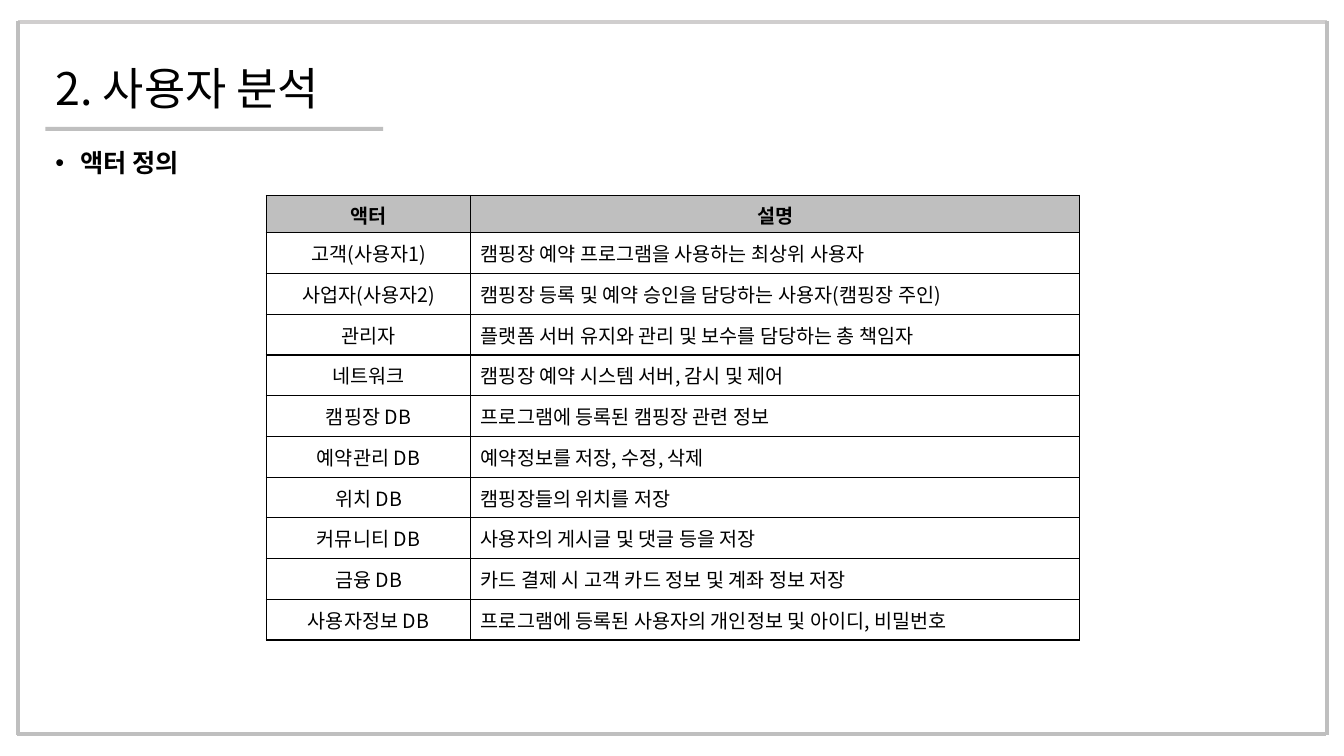
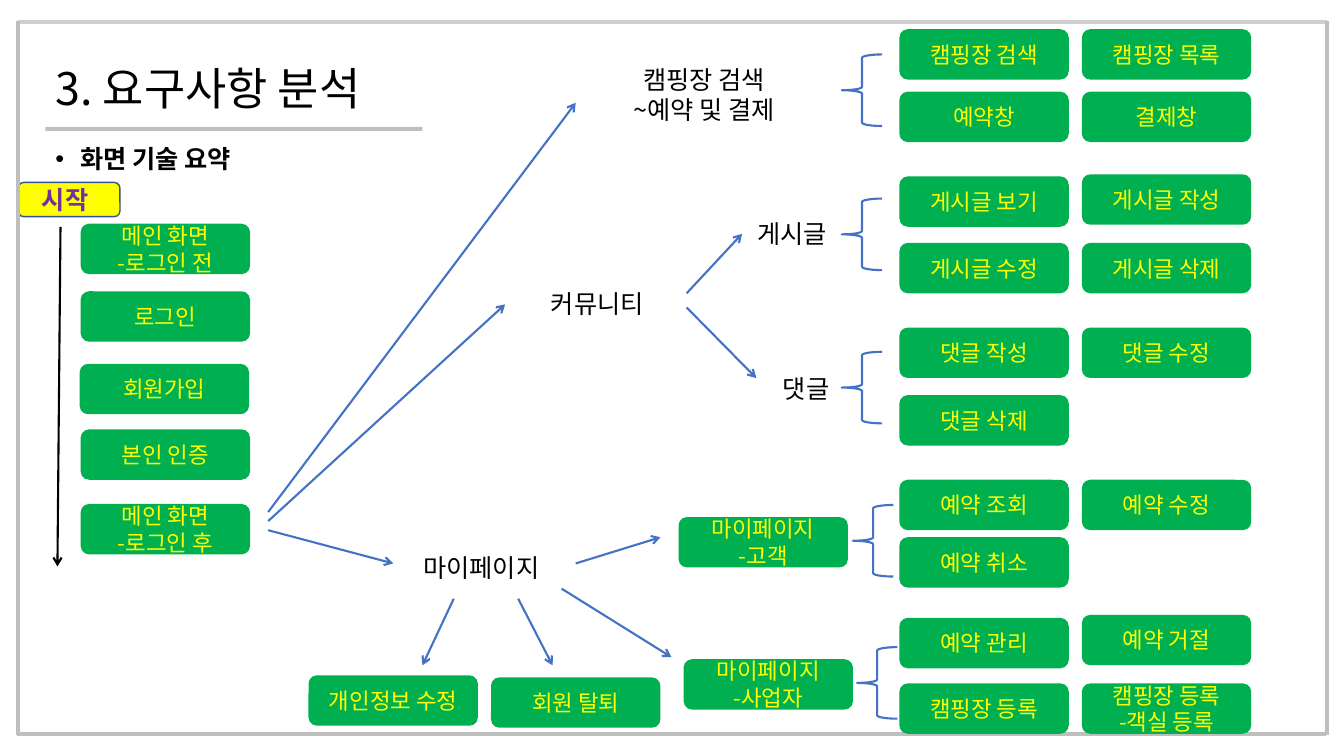
from lxml.etree import SubElement
from pptx import Presentation
from pptx.dml.color import RGBColor
from pptx.enum.shapes import MSO_CONNECTOR, MSO_SHAPE
from pptx.enum.text import MSO_ANCHOR, MSO_AUTO_SIZE, PP_ALIGN
from pptx.oxml.ns import qn
from pptx.util import Inches, Pt

FONT = "Noto Sans CJK KR"
COLORS = {
    "black": "000000",
    "grey": "BFBFBF",
    "light_grey": "D0CECE",
    "green": "00B050",
    "yellow": "FFFF00",
    "purple": "7030A0",
    "blue": "4472C4",
    "dark_blue": "325491",
}
FRAME_LINES = [
    (0.18, 0.22, 13.16, 0.22, "light_grey"),
    (0.18, 0.21, 0.18, 7.29, "grey"),
    (13.16, 0.21, 13.16, 7.29, "grey"),
    (0.17, 7.28, 13.15, 7.28, "grey"),
]
ACTORS = [
    ("액터", "설명"),
    ("고객(사용자1)", "캠핑장 예약 프로그램을 사용하는 최상위 사용자"),
    ("사업자(사용자2)", "캠핑장 등록 및 예약 승인을 담당하는 사용자(캠핑장 주인)"),
    ("관리자", "플랫폼 서버 유지와 관리 및 보수를 담당하는 총 책임자"),
    ("네트워크", "캠핑장 예약 시스템 서버, 감시 및 제어"),
    ("캠핑장 DB", "프로그램에 등록된 캠핑장 관련 정보"),
    ("예약관리 DB", "예약정보를 저장, 수정, 삭제"),
    ("위치 DB", "캠핑장들의 위치를 저장"),
    ("커뮤니티 DB", "사용자의 게시글 및 댓글 등을 저장"),
    ("금융 DB", "카드 결제 시 고객 카드 정보 및 계좌 정보 저장"),
    ("사용자정보 DB", "프로그램에 등록된 사용자의 개인정보 및 아이디, 비밀번호"),
]
SCREEN_COLUMNS = (8.92, 10.73)
SCREEN_ROWS = [
    ((0.29, "캠핑장 검색"), (0.29, "캠핑장 목록")),
    ((0.91, "예약창"), (0.91, "결제창")),
    ((1.75, "게시글 보기"), (1.73, "게시글 작성")),
    ((2.41, "게시글 수정"), (2.41, "게시글 삭제")),
    ((3.25, "댓글 작성"), (3.25, "댓글 수정")),
    ((3.92, "댓글 삭제"),),
    ((4.76, "예약 조회"), (4.76, "예약 수정")),
    ((5.33, "예약 취소"),),
    ((6.13, "예약 관리"), (6.1, "예약 거절")),
    ((6.78, "캠핑장 등록"), (6.78, "캠핑장 등록\n-객실 등록")),
]
OTHER_SCREENS = [
    (0.8, 2.22, "메인 화면\n-로그인 전"),
    (0.8, 2.89, "로그인"),
    (0.79, 3.61, "회원가입"),
    (0.8, 4.26, "본인 인증"),
    (0.8, 5, "메인 화면\n-로그인 후"),
    (3.06, 6.7, "개인정보 수정"),
    (4.87, 6.72, "회원 탈퇴"),
    (6.73, 5.13, "마이페이지\n-고객"),
    (6.78, 6.54, "마이페이지\n-사업자"),
]
BRANCH_LABELS = [
    (5.92, 0.59, "캠핑장 검색\n~예약 및 결제"),
    (6.79, 2.12, "게시글"),
    (4.86, 2.81, "커뮤니티"),
    (6.93, 3.65, "댓글"),
    (3.71, 5.43, "마이페이지"),
]
BRANCH_ARROWS = [
    (2.66, 5.08, 5.71, 1.02),
    (2.66, 5.17, 5.01, 3.02),
    (2.66, 5.26, 3.9, 5.59),
    (6.81, 2.91, 7.36, 2.32),
    (6.81, 3.05, 7.5, 3.75),
    (4.5, 5.94, 4.19, 6.6),
    (5.14, 5.94, 5.48, 6.6),
    (5.71, 5.59, 6.55, 5.33),
    (5.57, 5.84, 6.66, 6.52),
]
BRACES = [(8.35, 0.54), (8.35, 1.97), (8.35, 3.49), (8.46, 5.01), (8.5, 6.42)]


def color(name):
    """Return the palette colour with this name."""
    return RGBColor.from_string(COLORS[name])


def write_text(text_frame, text, size, color_name="black", bold=False, align=PP_ALIGN.LEFT):
    """Fill a text frame and format all its runs."""
    text_frame.text = text
    for paragraph in text_frame.paragraphs:
        paragraph.alignment = align
        for run in paragraph.runs:
            run.font.name = FONT
            run.font.size = Pt(size)
            run.font.bold = bold
            run.font.color.rgb = color(color_name)
            SubElement(run.font._element, qn("a:ea"), typeface=FONT)


def add_line(slide, start_x, start_y, end_x, end_y, color_name, width, arrow=False):
    """Draw a straight line, with an arrowhead at its end if asked."""
    line = slide.shapes.add_connector(
        MSO_CONNECTOR.STRAIGHT, Inches(start_x), Inches(start_y), Inches(end_x), Inches(end_y)
    )
    line.line.color.rgb = color(color_name)
    line.line.width = Pt(width)
    if arrow:
        SubElement(line.line._get_or_add_ln(), qn("a:tailEnd"), type="arrow")
    SubElement(line._element.spPr, qn("a:effectLst"))


def add_box(slide, kind, left, top, width, height, fill=None, outline=None, line_width=1):
    """Add a preset shape with an optional fill and outline."""
    shape = slide.shapes.add_shape(kind, Inches(left), Inches(top), Inches(width), Inches(height))
    shape.shadow.inherit = False
    if fill:
        shape.fill.solid()
        shape.fill.fore_color.rgb = color(fill)
    else:
        shape.fill.background()
    if outline:
        shape.line.color.rgb = color(outline)
        shape.line.width = Pt(line_width)
    else:
        shape.line.fill.background()
    return shape


def add_label(slide, left, top, width, height, text, **style):
    """Add a wrapping text box in the 18 point label size."""
    label = slide.shapes.add_textbox(Inches(left), Inches(top), Inches(width), Inches(height))
    label.text_frame.word_wrap = True
    write_text(label.text_frame, text, 18, **style)
    return label


def add_subheading(slide, top, text):
    """Add the bold bulleted line under the title."""
    label = add_label(slide, 0.45, top, 3.15, 0.39, text, bold=True)
    paragraph = label.text_frame.paragraphs[0]
    paragraph.line_spacing = 0.9
    properties = paragraph._p.get_or_add_pPr()
    properties.set("marL", str(Inches(0.25)))
    properties.set("indent", str(Inches(-0.25)))
    SubElement(properties, qn("a:buFont"), typeface="Arial")
    SubElement(properties, qn("a:buChar"), char="•")


def add_heading(slide, text, rule_width):
    """Draw the page frame, the title and the rule below it."""
    for *ends, color_name in FRAME_LINES:
        add_line(slide, *ends, color_name, 3)
    title = slide.shapes.title
    title.left, title.top = Inches(0.45), Inches(0.49)
    title.width, title.height = Inches(12.44), Inches(0.83)
    title.text_frame.auto_size = MSO_AUTO_SIZE.NONE
    title.text_frame.vertical_anchor = MSO_ANCHOR.MIDDLE
    write_text(title.text_frame, text, 32)
    title.text_frame.paragraphs[0].line_spacing = 0.9
    add_box(slide, MSO_SHAPE.RECTANGLE, 0.45, 1.26, rule_width, 0.04, "grey")


def add_screen(slide, left, top, text):
    """Add a green box that names one screen."""
    shape = add_box(slide, MSO_SHAPE.ROUNDED_RECTANGLE, left, top, 1.68, 0.5, "green")
    shape.text_frame.vertical_anchor = MSO_ANCHOR.MIDDLE
    write_text(shape.text_frame, text, 16, "yellow", align=PP_ALIGN.CENTER)


def add_start(slide):
    """Add the yellow start tag."""
    shape = add_box(
        slide, MSO_SHAPE.ROUNDED_RECTANGLE, 0.18, 1.81, 1.01, 0.34, "yellow", "dark_blue"
    )
    text_frame = shape.text_frame
    text_frame.margin_left = Inches(0.22)
    text_frame.margin_top = text_frame.margin_bottom = 0
    text_frame.vertical_anchor = MSO_ANCHOR.MIDDLE
    write_text(text_frame, "시작", 18, "purple", bold=True)


def add_cell_borders(cell):
    """Give a table cell black lines on all four sides."""
    properties = cell._tc.get_or_add_tcPr()
    for side in ("lnL", "lnR", "lnT", "lnB"):
        border = SubElement(properties, qn(f"a:{side}"), w=str(Pt(1)))
        fill = SubElement(border, qn("a:solidFill"))
        SubElement(fill, qn("a:srgbClr"), val=COLORS["black"])


def add_actor_table(slide):
    """Add the table of actors and their descriptions."""
    frame = slide.shapes.add_table(
        len(ACTORS), 2, Inches(2.64), Inches(1.94), Inches(8.07), Inches(4.41)
    )
    table = frame.table
    table.first_row = table.horz_banding = False
    for column, width in zip(table.columns, (2.03, 6.04)):
        column.width = Inches(width)
    for row_index, texts in enumerate(ACTORS):
        is_header = row_index == 0
        table.rows[row_index].height = Inches(0.37 if is_header else 0.404)
        for column_index, text in enumerate(texts):
            cell = table.cell(row_index, column_index)
            centred = is_header or column_index == 0
            align = PP_ALIGN.CENTER if centred else PP_ALIGN.LEFT
            write_text(cell.text_frame, text, 14, bold=is_header, align=align)
            cell.vertical_anchor = MSO_ANCHOR.MIDDLE
            add_cell_borders(cell)
            if is_header:
                cell.fill.solid()
                cell.fill.fore_color.rgb = color("grey")
            else:
                cell.fill.background()


def build_actor_slide(slide):
    """Build the user analysis slide."""
    add_heading(slide, "2. 사용자 분석", 3.35)
    add_subheading(slide, 1.45, "액터 정의")
    add_actor_table(slide)


def build_screen_slide(slide):
    """Build the requirements slide with its map of screens."""
    add_start(slide)
    add_heading(slide, "3. 요구사항 분석", 3.74)
    add_subheading(slide, 1.41, "화면 기술 요약")
    for left, top, text in OTHER_SCREENS:
        add_screen(slide, left, top, text)
    for row in SCREEN_ROWS:
        for left, (top, text) in zip(SCREEN_COLUMNS, row):
            add_screen(slide, left, top, text)
    for left, top, text in BRANCH_LABELS:
        height = 0.4 + 0.31 * text.count("\n")
        add_label(slide, left, top, 2.13, height, text, align=PP_ALIGN.CENTER)
    add_line(slide, 0.6, 2.25, 0.57, 5.62, "black", 1.5, arrow=True)
    for ends in BRANCH_ARROWS:
        add_line(slide, *ends, "blue", 1.5, arrow=True)
    for left, top in BRACES:
        add_box(
            slide, MSO_SHAPE.LEFT_BRACE, left, top, 0.4, 0.71, outline="blue", line_width=1.5
        )


def main():
    """Build and save the presentation."""
    presentation = Presentation()
    presentation.slide_width = Inches(13.33)
    presentation.slide_height = Inches(7.5)
    title_only = presentation.slide_layouts[5]
    for build in (build_actor_slide, build_screen_slide):
        build(presentation.slides.add_slide(title_only))
    presentation.save("out.pptx")


if __name__ == "__main__":
    main()
